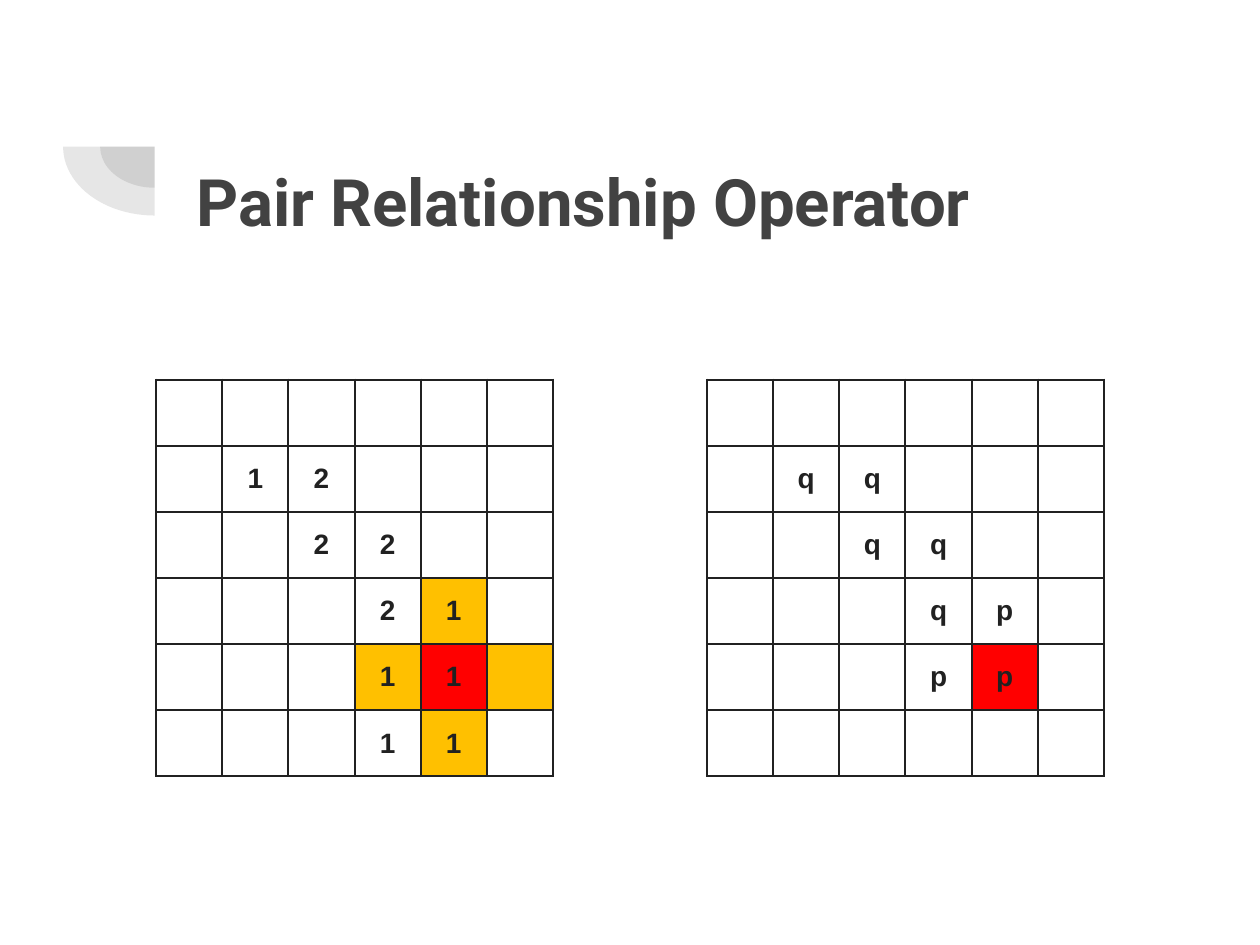
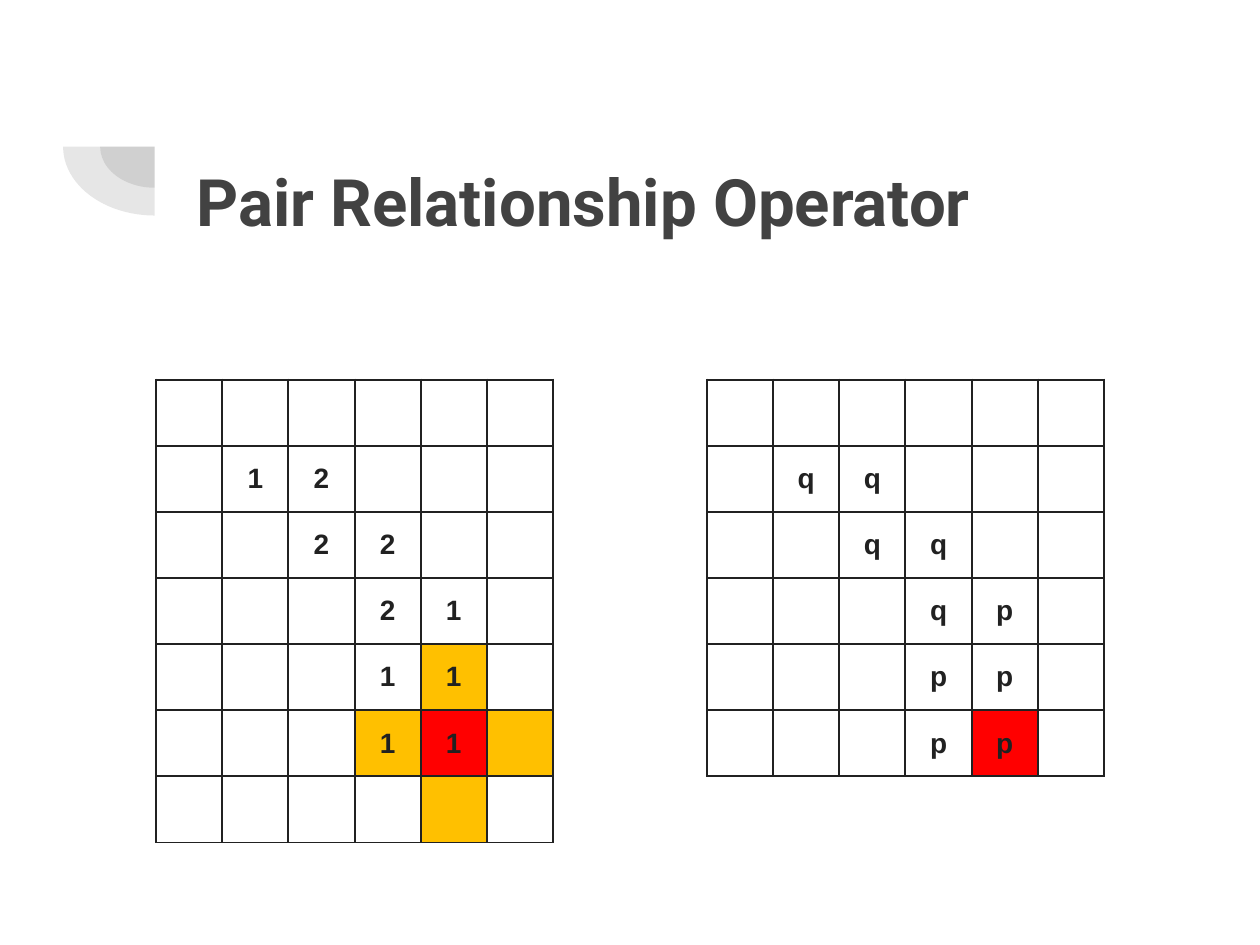
"""Build two slides that step the pair relationship operator through a grid."""
from lxml import etree
from pptx import Presentation
from pptx.dml.color import RGBColor
from pptx.enum.shapes import MSO_SHAPE
from pptx.enum.text import MSO_ANCHOR, MSO_AUTO_SIZE, PP_ALIGN
from pptx.oxml import parse_xml
from pptx.oxml.ns import nsdecls, qn
from pptx.util import Cm, Pt

PIE = MSO_SHAPE.PIE
MIDDLE = MSO_ANCHOR.MIDDLE
NO_FIT = MSO_AUTO_SIZE.NONE
LEFT, CENTER = PP_ALIGN.LEFT, PP_ALIGN.CENTER

GREY, INK, WHITE, RED, AMBER = "424242", "212121", "FFFFFF", "FF0000", "FFC000"
TITLE = "Pair Relationship Operator"
TITLE_FONT = {"name": "Roboto", "size": Pt(28), "bold": True}
CELL_FONT = {"name": "Arial", "size": Pt(12), "bold": True}
TITLE_BOX = {"left": Cm(2.72), "top": Cm(1.65), "width": Cm(14.66), "height": Cm(2.77)}
ARC_CENTER = (2.34, 2.22)
ARC_SIZES = [(1.65, 1.24), (2.77, 2.08)]
CELL = 1.0
GRID_TOP = 5.74
COUNT_LEFT, LABEL_LEFT = 2.36, 10.69

STEPS = [
    {
        "focus": (4, 4),
        "counts": ["......", ".12...", "..22..", "...21.", "...11.", "...11."],
        "labels": ["......", ".qq...", "..qq..", "...qp.", "...pp.", "......"],
    },
    {
        "focus": (5, 4),
        "counts": ["......", ".12...", "..22..", "...21.", "...11.", "...11.", "......"],
        "labels": ["......", ".qq...", "..qq..", "...qp.", "...pp.", "...pp."],
    },
]


def rgb(color):
    return RGBColor.from_string(color)


def set_font(font, values, color):
    for name, value in values.items():
        setattr(font, name, value)
    font.color.rgb = rgb(color)


def add_arcs(s, layout):
    cx, cy = ARC_CENTER
    for i, (w, h) in enumerate(ARC_SIZES):
        sp = s.shapes.add_shape(PIE, Cm(cx - w / 2), Cm(cy - h / 2), Cm(w), Cm(h))
        sp.adjustments[0], sp.adjustments[1] = 54, 108
        sp.shadow.inherit = False
        sp.line.fill.background()
        sp.fill.solid()
        sp.fill.fore_color.rgb = rgb(GREY)
        color = sp.element.spPr.find(qn("a:solidFill"))[0]
        etree.SubElement(color, qn("a:alpha"), val="13000")
        layout.shapes.element.insert(2 + i, sp.element)


def style_layout(layout):
    title = next(sp for sp in layout.placeholders if sp.placeholder_format.idx == 0)
    for name, value in TITLE_BOX.items():
        setattr(title, name, value)


def add_title(s):
    tf = s.shapes.title.text_frame
    tf.auto_size = NO_FIT
    tf.word_wrap = True
    tf.vertical_anchor = MIDDLE
    for side in ("left", "top", "right", "bottom"):
        setattr(tf, f"margin_{side}", Cm(0.25))
    p = tf.paragraphs[0]
    p.alignment = LEFT
    r = p.add_run()
    r.text = TITLE
    set_font(r.font, TITLE_FONT, GREY)


def add_borders(cell):
    tc_pr = cell._tc.get_or_add_tcPr()
    for side in "LRTB":
        tc_pr.append(parse_xml(
            f'<a:ln{side} {nsdecls("a")} w="12700"><a:solidFill>'
            f'<a:srgbClr val="{INK}"/></a:solidFill></a:ln{side}>'))


def add_grid(s, left, lines, focus, neighbour_color):
    rows, cols = len(lines), len(lines[0])
    frame = s.shapes.add_table(
        rows, cols, Cm(left), Cm(GRID_TOP), Cm(cols * CELL), Cm(rows * CELL))
    table = frame.table
    table.first_row = table.horz_banding = False
    colors = {0: RED, 1: neighbour_color}
    for row, line in enumerate(lines):
        for col, mark in enumerate(line):
            cell = table.cell(row, col)
            add_borders(cell)
            distance = abs(row - focus[0]) + abs(col - focus[1])
            cell.fill.solid()
            cell.fill.fore_color.rgb = rgb(colors.get(distance, WHITE))
            cell.vertical_anchor = MIDDLE
            for side in ("left", "top", "right", "bottom"):
                setattr(cell, f"margin_{side}", 0)
            p = cell.text_frame.paragraphs[0]
            p.alignment = CENTER
            if mark != ".":
                r = p.add_run()
                r.text = mark
                set_font(r.font, CELL_FONT, INK)


def main():
    prs = Presentation()
    prs.slide_width, prs.slide_height = Cm(19.05), Cm(14.29)
    layout = prs.slide_layouts[5]
    style_layout(layout)
    for i, step in enumerate(STEPS):
        s = prs.slides.add_slide(layout)
        if i == 0:
            add_arcs(s, layout)
        add_title(s)
        add_grid(s, COUNT_LEFT, step["counts"], step["focus"], AMBER)
        add_grid(s, LABEL_LEFT, step["labels"], step["focus"], WHITE)
    prs.save("out.pptx")


if __name__ == "__main__":
    main()
